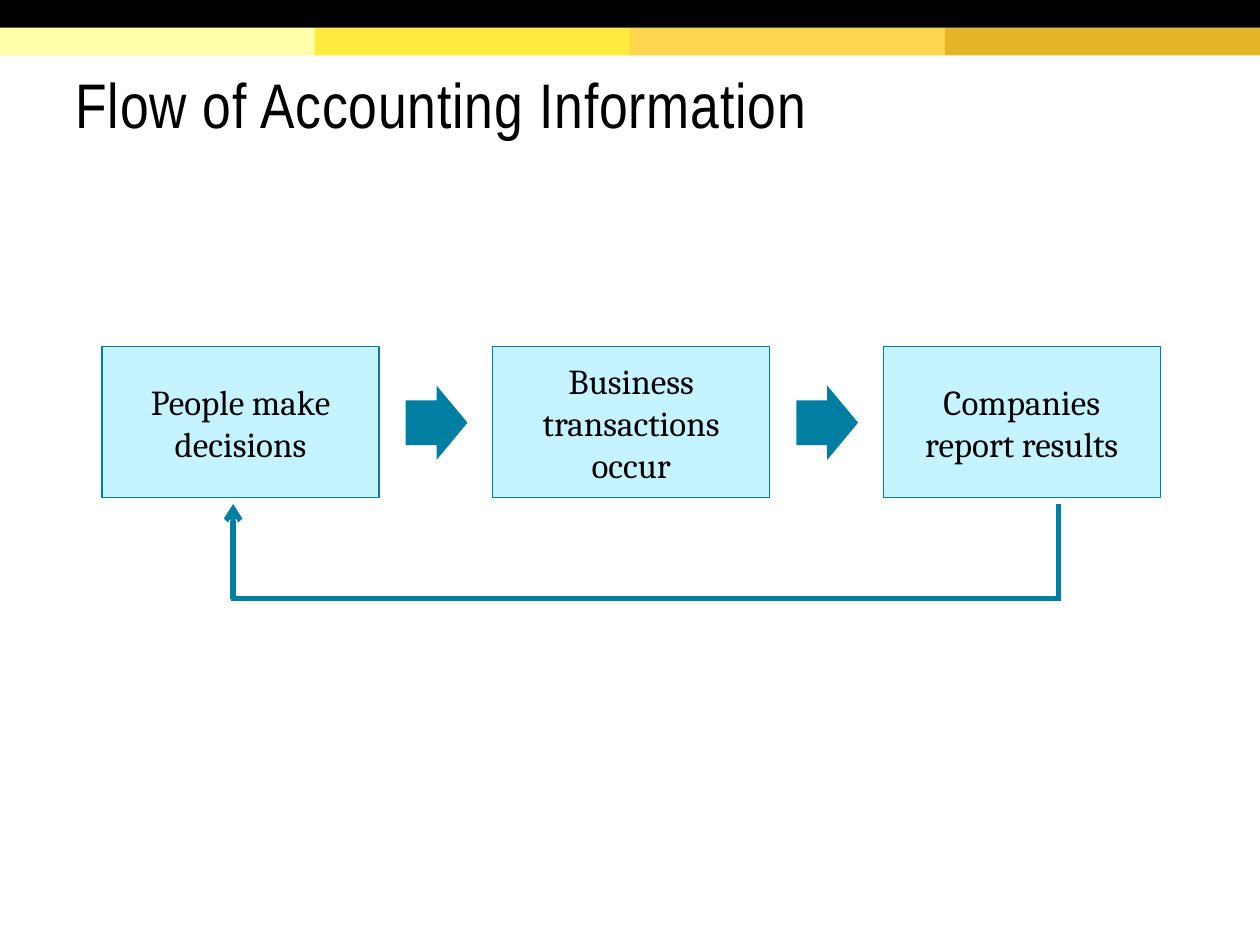
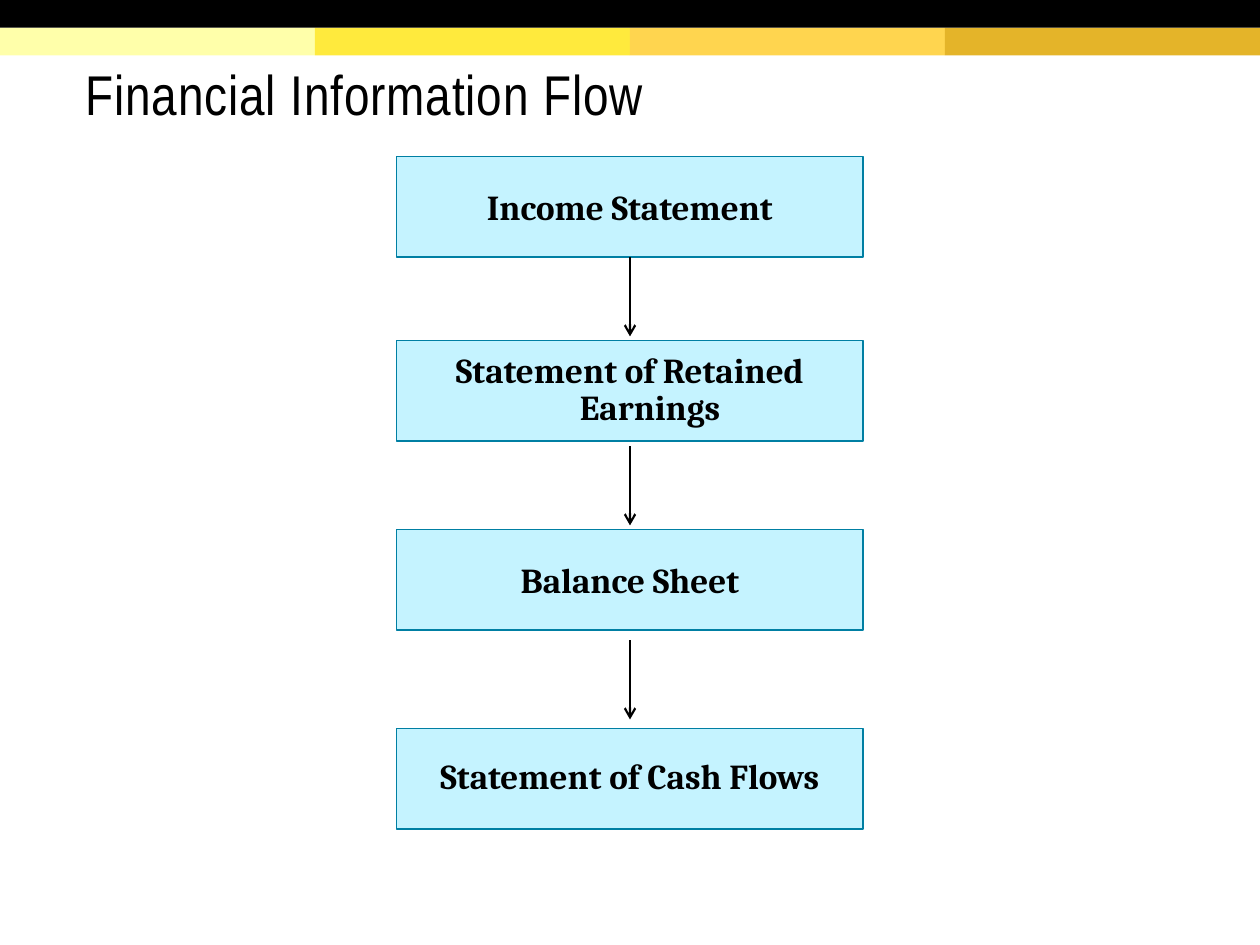
from dataclasses import dataclass

from lxml.etree import SubElement
from pptx import Presentation
from pptx.dml.color import RGBColor
from pptx.enum.shapes import MSO_CONNECTOR as Connector, MSO_SHAPE as Shape
from pptx.enum.text import MSO_ANCHOR as Anchor, PP_ALIGN as Align
from pptx.oxml.ns import qn
from pptx.util import Inches, Pt


@dataclass(frozen=True)
class Theme:
    black: str = "000000"
    teal: str = "007FA3"
    pale_blue: str = "C5F3FF"
    stripes: tuple = ("FFFFAA", "FFEA3D", "FFD54F", "E4B429")
    title_font: str = "Arial Narrow"
    body_font: str = "Cambria"
    body_size: int = 20
    box_line: float = 0.75
    flow_line: float = 1.25
    loop_line: float = 3


THEME = Theme()
SLIDE_WIDTH, SLIDE_HEIGHT = 10, 7.5
BAND_HEIGHT = 0.22
TEXT_INSET = 0.1


def add_filled_shape(slide, kind, box, fill):
    shape = slide.shapes.add_shape(kind, *map(Inches, box))
    shape.shadow.inherit = False
    shape.fill.solid()
    shape.fill.fore_color.rgb = RGBColor.from_string(fill)
    shape.line.fill.background()
    return shape


def write_text(shape, text, font_name, size, bottom_inset=TEXT_INSET):
    frame = shape.text_frame
    frame.word_wrap = True
    frame.vertical_anchor = Anchor.MIDDLE
    frame.margin_left = frame.margin_top = frame.margin_right = Inches(TEXT_INSET)
    frame.margin_bottom = Inches(bottom_inset)
    paragraph = frame.paragraphs[0]
    paragraph.text = text
    paragraph.font.name = font_name
    paragraph.font.size = Pt(size)
    paragraph.font.color.rgb = RGBColor.from_string(THEME.black)
    return paragraph


def add_bands(slide):
    width = SLIDE_WIDTH / len(THEME.stripes)
    for index, color in enumerate(THEME.stripes):
        box = (index * width, BAND_HEIGHT, width, BAND_HEIGHT)
        add_filled_shape(slide, Shape.RECTANGLE, box, color)
    add_filled_shape(slide, Shape.RECTANGLE, (0, 0, SLIDE_WIDTH, BAND_HEIGHT), THEME.black)


def add_title(slide, box, text, size):
    title = slide.shapes.add_textbox(*map(Inches, box))
    paragraph = write_text(title, text, THEME.title_font, size, bottom_inset=0.05)
    paragraph.line_spacing = 0.85
    paragraph.runs[0].font._element.set("spc", "50")


def add_step_box(slide, box, text, bold=False, hanging=False):
    shape = add_filled_shape(slide, Shape.RECTANGLE, box, THEME.pale_blue)
    shape.line.color.rgb = RGBColor.from_string(THEME.teal)
    shape.line.width = Pt(THEME.box_line)
    paragraph = write_text(shape, text, THEME.body_font, THEME.body_size)
    paragraph.font.bold = bold
    paragraph.alignment = Align.CENTER
    paragraph.space_before = paragraph.space_after = Pt(8)
    if hanging:
        paragraph.line_spacing = 0.9
        indent = Inches(0.32)
        properties = paragraph._p.get_or_add_pPr()
        properties.set("marL", str(indent))
        properties.set("indent", str(-indent))


def add_line(slide, start, end, color, width, arrow=False):
    line = slide.shapes.add_connector(Connector.STRAIGHT, *map(Inches, (*start, *end)))
    line.line.color.rgb = RGBColor.from_string(color)
    line.line.width = Pt(width)
    if arrow:
        SubElement(line.line._get_or_add_ln(), qn("a:tailEnd"), type="arrow")
    SubElement(line._element.spPr, qn("a:effectLst"))


def add_step_row(slide, box, steps):
    left, top, width, height = box
    step_width, arrow_width, arrow_height = 2.2, 0.49, 0.59
    pitch = (width - step_width) / (len(steps) - 1)
    for index, text in enumerate(steps):
        step_left = left + index * pitch
        add_step_box(slide, (step_left, top, step_width, height), text)
        if index:
            arrow_box = (step_left - 0.69, top + 0.31, arrow_width, arrow_height)
            arrow = add_filled_shape(slide, Shape.RIGHT_ARROW, arrow_box, THEME.teal)
            arrow.adjustments[0] = 0.6


def add_return_loop(slide, box):
    left, top, width, height = box
    right, bottom = left + width, top + height
    overlap = 0.02
    segments = (
        ((right, top), (right, bottom), False),
        ((right + overlap, bottom), (left - overlap, bottom), False),
        ((left, bottom), (left, top), True),
    )
    for start, end, arrow in segments:
        add_line(slide, start, end, THEME.teal, THEME.loop_line, arrow)


def add_statement_column(slide, box, statements, arrow_offsets):
    left, top, width, height = box
    box_height, arrow_length = 0.8, 0.63
    center = left + width / 2
    for text, offset, hanging in statements:
        statement_box = (left, top + offset, width, box_height)
        add_step_box(slide, statement_box, text, bold=True, hanging=hanging)
    for offset in arrow_offsets:
        start = (center, top + offset)
        end = (center, top + offset + arrow_length)
        add_line(slide, start, end, THEME.black, THEME.flow_line, arrow=True)


def add_slide(presentation, title_box, title, title_size):
    slide = presentation.slides.add_slide(presentation.slide_layouts[6])
    add_bands(slide)
    add_title(slide, title_box, title, title_size)
    return slide


def build_accounting_flow(presentation):
    slide = add_slide(presentation, (0.5, 0.24, 9, 1.2), "Flow of Accounting Information", 36)
    steps = ("People make decisions", "Business transactions occur", "Companies report results")
    add_step_row(slide, (0.81, 2.75, 8.4, 1.2), steps)
    add_return_loop(slide, (1.85, 4, 6.55, 0.75))


def build_statement_flow(presentation):
    slide = add_slide(presentation, (0.58, 0.33, 9, 0.85), "Financial Information Flow", 32)
    statements = (
        ("Income Statement", 0, False),
        ("Statement of Retained Earnings", 1.46, True),
        ("Balance Sheet", 2.96, False),
        ("Statement of Cash Flows", 4.54, True),
    )
    add_statement_column(slide, (3.15, 1.24, 3.7, 5.34), statements, (0.8, 2.3, 3.84))


def main():
    presentation = Presentation()
    presentation.slide_width = Inches(SLIDE_WIDTH)
    presentation.slide_height = Inches(SLIDE_HEIGHT)
    build_accounting_flow(presentation)
    build_statement_flow(presentation)
    presentation.save("out.pptx")


if __name__ == "__main__":
    main()
